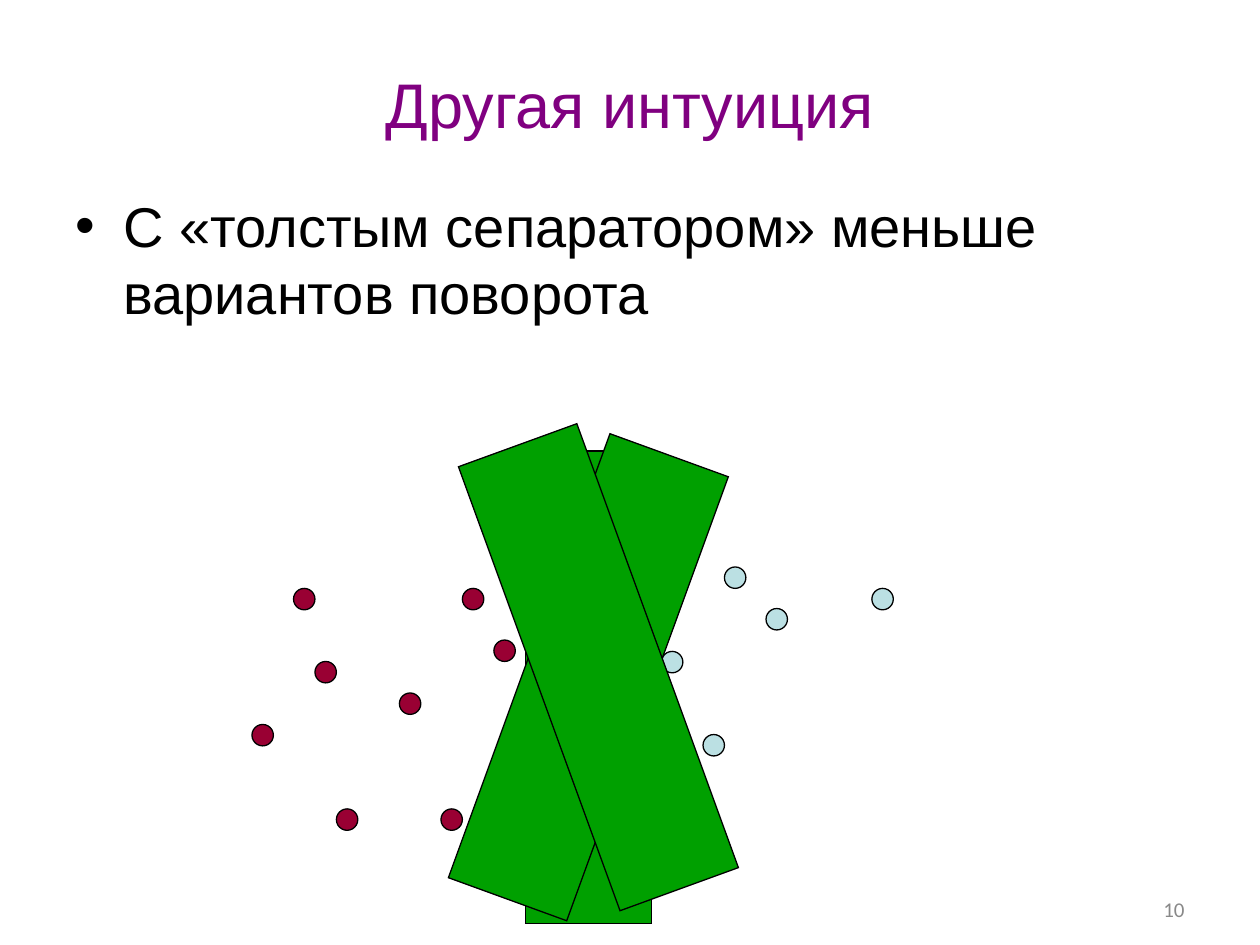
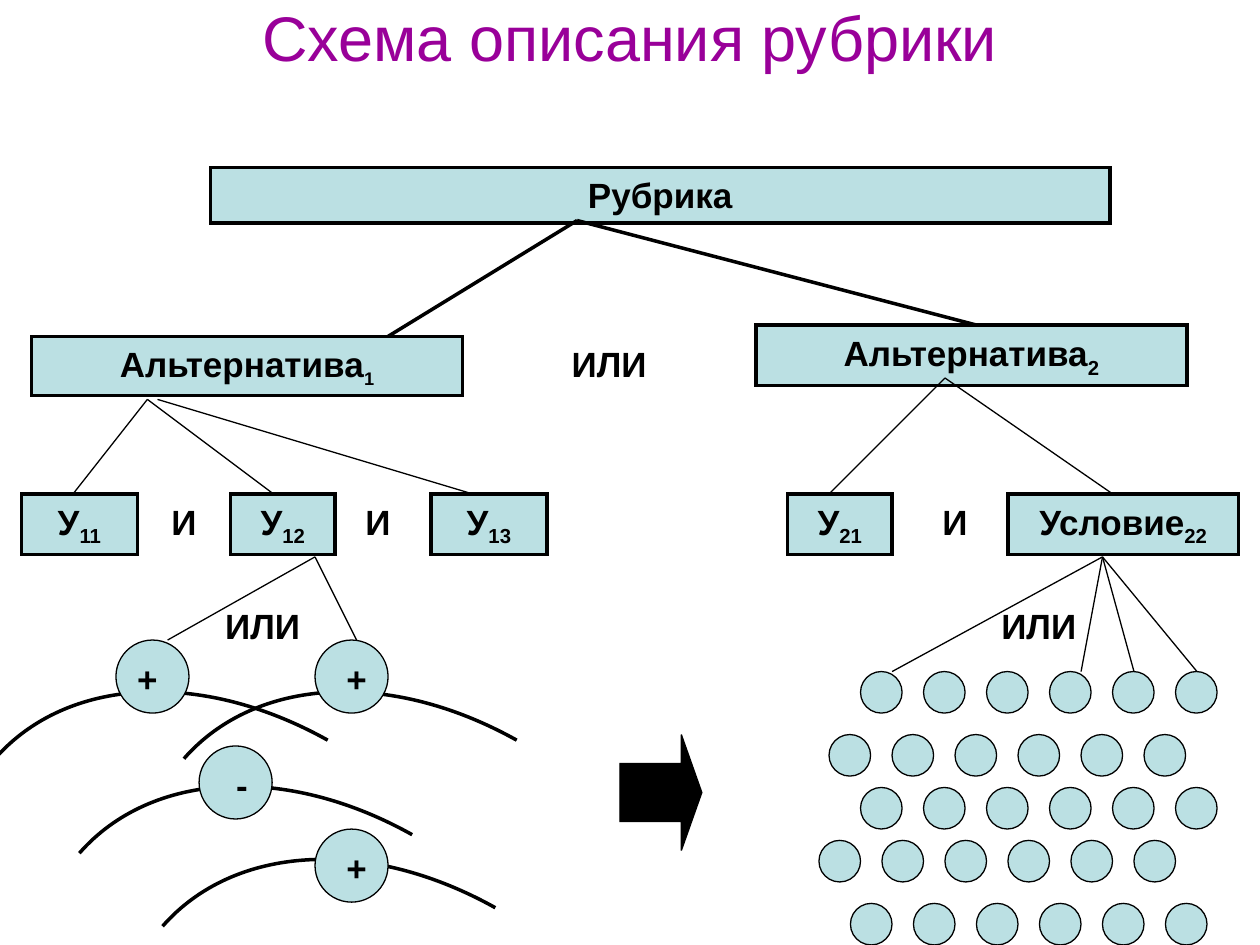
import pptx
import pptx.dml.color
import pptx.enum.shapes
import pptx.enum.text
import pptx.oxml
import pptx.oxml.ns
import pptx.util
from pptx.util import Inches

SHAPE = pptx.enum.shapes.MSO_SHAPE
ALIGN = pptx.enum.text.PP_ALIGN
ANCHOR = pptx.enum.text.MSO_ANCHOR

COLORS = {
    "ink": "000000", "purple": "800080", "violet": "990099", "grey": "898989",
    "crimson": "990033", "pale": "BBE0E3", "green": "00A000",
}

INTUITION = "Другая интуиция"
FAT_SEPARATOR = "С «толстым сепаратором» меньше вариантов поворота"
PAGE_NUMBER = "10"
POINT_SIZE = 0.17
POINTS = {
    "crimson": [(2.33, 4.67), (2.5, 5.25), (2.67, 6.42), (3.67, 4.67), (2, 5.75),
                (3.17, 5.5), (3.92, 5.08), (3.5, 6.42)],
    "pale": [(5.25, 5.17), (5.58, 5.83), (5.75, 4.5), (6.92, 4.67), (6.08, 4.83)],
}
SEPARATOR_SIZE = (1, 3.75)
SEPARATORS = [(4.17, 3.58, 0), (4.17, 3.5, 20), (4.25, 3.42, 340)]

SCHEME = "Схема описания рубрики"
NODES = [
    ("Рубрика", "", 20, (1.67, 1.33, 7.14, 0.44)),
    ("Альтернатива", "1", 18, (0.25, 2.67, 3.42, 0.47)),
    ("Альтернатива", "2", 20, (6, 2.58, 3.42, 0.48)),
    ("У", "11", 20, (0.17, 3.92, 0.92, 0.48)),
    ("У", "12", 20, (1.83, 3.92, 0.83, 0.48)),
    ("У", "13", 20, (3.42, 3.92, 0.92, 0.48)),
    ("У", "21", 20, (6.25, 3.92, 0.83, 0.48)),
    ("Условие", "22", 20, (8, 3.92, 1.83, 0.48)),
]
OPERATORS = [
    ("ИЛИ", 4.42, 2.67, 0.83), ("И", 7.33, 3.92, 0.5), ("И", 2.75, 3.92, 0.5),
    ("И", 1.25, 3.92, 0.42), ("ИЛИ", 1.67, 4.75, 0.83), ("ИЛИ", 7.83, 4.75, 0.83),
]
OPERATOR_HEIGHT = 0.44
BRANCHES = [
    ((4.58, 1.75), 2, [(7.75, 2.58), (3.08, 2.67)]),
    ((1.17, 3.17), 0.75, [(0.58, 3.92), (2.17, 3.92)]),
    ((1.25, 3.17), 0.75, [(3.75, 3.92)]),
    ((7.5, 3), 0.75, [(6.58, 3.92), (8.83, 3.92)]),
    ((2.5, 4.42), 0.75, [(1.33, 5.08), (2.83, 5.08)]),
    ((8.75, 4.42), 0.75, [(7.08, 5.33), (8.58, 5.33), (9, 5.33), (9.5, 5.33)]),
]
ARCS = [(1.58, 6.58), (0.92, 6), (0.25, 5.25), (1.75, 5.25)]
ARC_SIZE = (2.58, 1.85)
ARC_ANGLE = 221.2
ARC_START = (0.69, 1.85)
ARC_CURVE = [(1.82, 1.61), (2.58, 0.86), (2.58, 0)]
SIGN_SIZE = 0.58
SIGNS = [("+", 0.92, 5.08, 0.92), ("+", 2.5, 5.08, 2.58),
         ("-", 1.58, 5.92, 1.67), ("+", 2.5, 6.58, 2.58)]
WORD_SIZE, WORD_STEP, WORDS_PER_ROW = 0.33, 0.5, 6
WORD_ROWS = [(6.83, 5.33), (6.58, 5.83), (6.83, 6.25), (6.5, 6.67), (6.75, 7.17)]
ARROW = (4.92, 5.83, 0.65, 0.92)


def rgb(name):
    return pptx.dml.color.RGBColor.from_string(COLORS[name])


def element(tag, attributes="", inner=""):
    return pptx.oxml.parse_xml(
        f'<a:{tag} {pptx.oxml.ns.nsdecls("a")} {attributes}>{inner}</a:{tag}>')


def write(holder, text, size=20, color="ink", font="Arial", bold=False,
          align=ALIGN.CENTER, anchor=ANCHOR.TOP, sub="", sub_size=20, bullet=False):
    frame = holder.text_frame
    frame.word_wrap = True
    frame.vertical_anchor = anchor
    frame.margin_left = frame.margin_right = Inches(0.1)
    frame.margin_top = frame.margin_bottom = Inches(0.05)
    paragraph = frame.paragraphs[0]
    paragraph.alignment = align
    if bullet:
        properties = paragraph._p.get_or_add_pPr()
        properties.set("marL", str(Inches(0.38)))
        properties.set("indent", str(-Inches(0.38)))
        properties.append(element("buClr", inner=f'<a:srgbClr val="{COLORS[color]}"/>'))
        properties.append(element("buFont", f'typeface="{font}"'))
        properties.append(element("buChar", 'char="•"'))
    for part, part_size in ((text, size), (sub, sub_size)):
        if part:
            run = paragraph.add_run()
            run.text = part
            run.font.size = pptx.util.Pt(part_size)
            run.font.name = font
            run.font.bold = bold
            run.font.color.rgb = rgb(color)
            if part is sub:
                run._r.get_or_add_rPr().set("baseline", "-25000")


def add_text(slide, box, text, **style):
    write(slide.shapes.add_textbox(*map(Inches, box)), text, **style)


def add_title(slide, box, text, color, anchor):
    add_text(slide, box, text, size=36, color=color, anchor=anchor)


def outline(shape, width):
    shape.line.color.rgb = rgb("ink")
    shape.line.width = pptx.util.Pt(width)
    shape.line._get_or_add_ln().append(element("miter", 'lim="800000"'))


def add_figure(slide, kind, box, fill, width=0.75):
    figure = slide.shapes.add_shape(kind, *map(Inches, box))
    figure.shadow.inherit = False
    figure.fill.solid()
    figure.fill.fore_color.rgb = rgb(fill)
    outline(figure, width)
    return figure


def add_branch(slide, start, end, width):
    branch = slide.shapes.add_connector(
        pptx.enum.shapes.MSO_CONNECTOR.STRAIGHT, *map(Inches, start + end))
    outline(branch, width)
    branch._element.spPr.append(element("effectLst"))


def add_arc(slide, x, y):
    builder = slide.shapes.build_freeform(*map(Inches, ARC_START))
    builder.add_line_segments([tuple(map(Inches, ARC_CURVE[-1]))], close=False)
    arc = builder.convert_to_shape()
    outlined = arc._element.spPr.find(".//" + pptx.oxml.ns.qn("a:path"))
    for name, length in zip("wh", ARC_SIZE):
        outlined.set(name, str(Inches(length)))
    for step in list(outlined):
        outlined.remove(step)
    for tag, places in (("moveTo", [ARC_START]), ("cubicBezTo", ARC_CURVE)):
        marks = "".join(f'<a:pt x="{Inches(px)}" y="{Inches(py)}"/>' for px, py in places)
        outlined.append(element(tag, inner=marks))
    arc.left, arc.top = Inches(x), Inches(y)
    arc.width, arc.height = map(Inches, ARC_SIZE)
    arc.rotation = ARC_ANGLE
    arc.shadow.inherit = False
    arc.fill.background()
    outline(arc, 2)


def build_intuition(slide):
    add_text(slide, (7.17, 7.08, 2.33, 0.27), PAGE_NUMBER, size=12, color="grey",
             font="Calibri", align=ALIGN.RIGHT, anchor=ANCHOR.MIDDLE)
    add_title(slide, (0.5, 0.3, 9, 0.87), INTUITION, "purple", ANCHOR.BOTTOM)
    add_text(slide, (0.5, 1.47, 9, 5.7), FAT_SEPARATOR, size=32,
             align=ALIGN.LEFT, bullet=True)
    for fill, places in POINTS.items():
        for x, y in places:
            add_figure(slide, SHAPE.OVAL, (x, y, POINT_SIZE, POINT_SIZE), fill)
    for x, y, angle in SEPARATORS:
        separator = add_figure(slide, SHAPE.RECTANGLE, (x, y, *SEPARATOR_SIZE), "green")
        separator.rotation = angle


def build_scheme(slide):
    for x, y in ARCS:
        add_arc(slide, x, y)
    add_title(slide, (0.75, 0, 8.5, 0.58), SCHEME, "violet", ANCHOR.MIDDLE)
    for label, index, index_size, box in NODES:
        node = add_figure(slide, SHAPE.RECTANGLE, box, "pale", 2)
        write(node, label, bold=True, sub=index, sub_size=index_size)
    for operator, x, y, width in OPERATORS:
        add_text(slide, (x, y, width, OPERATOR_HEIGHT), operator, bold=True)
    for start, width, ends in BRANCHES:
        for end in ends:
            add_branch(slide, start, end, width)
    for sign, x, y, sign_x in SIGNS:
        add_figure(slide, SHAPE.OVAL, (x, y, SIGN_SIZE, SIGN_SIZE), "pale")
        add_text(slide, (sign_x, y + 0.09, 0.5, OPERATOR_HEIGHT), sign, bold=True)
    for x, y in WORD_ROWS:
        for column in range(WORDS_PER_ROW):
            add_figure(slide, SHAPE.OVAL,
                       (x + column * WORD_STEP, y, WORD_SIZE, WORD_SIZE), "pale")
    arrow = add_figure(slide, SHAPE.RIGHT_ARROW, ARROW, "ink")
    arrow.adjustments[0] = 0.5
    arrow.adjustments[1] = 0.25


def main():
    deck = pptx.Presentation()
    deck.slide_width, deck.slide_height = Inches(10), Inches(7.5)
    for build in (build_intuition, build_scheme):
        build(deck.slides.add_slide(deck.slide_layouts[6]))
    deck.save("out.pptx")


if __name__ == "__main__":
    main()
